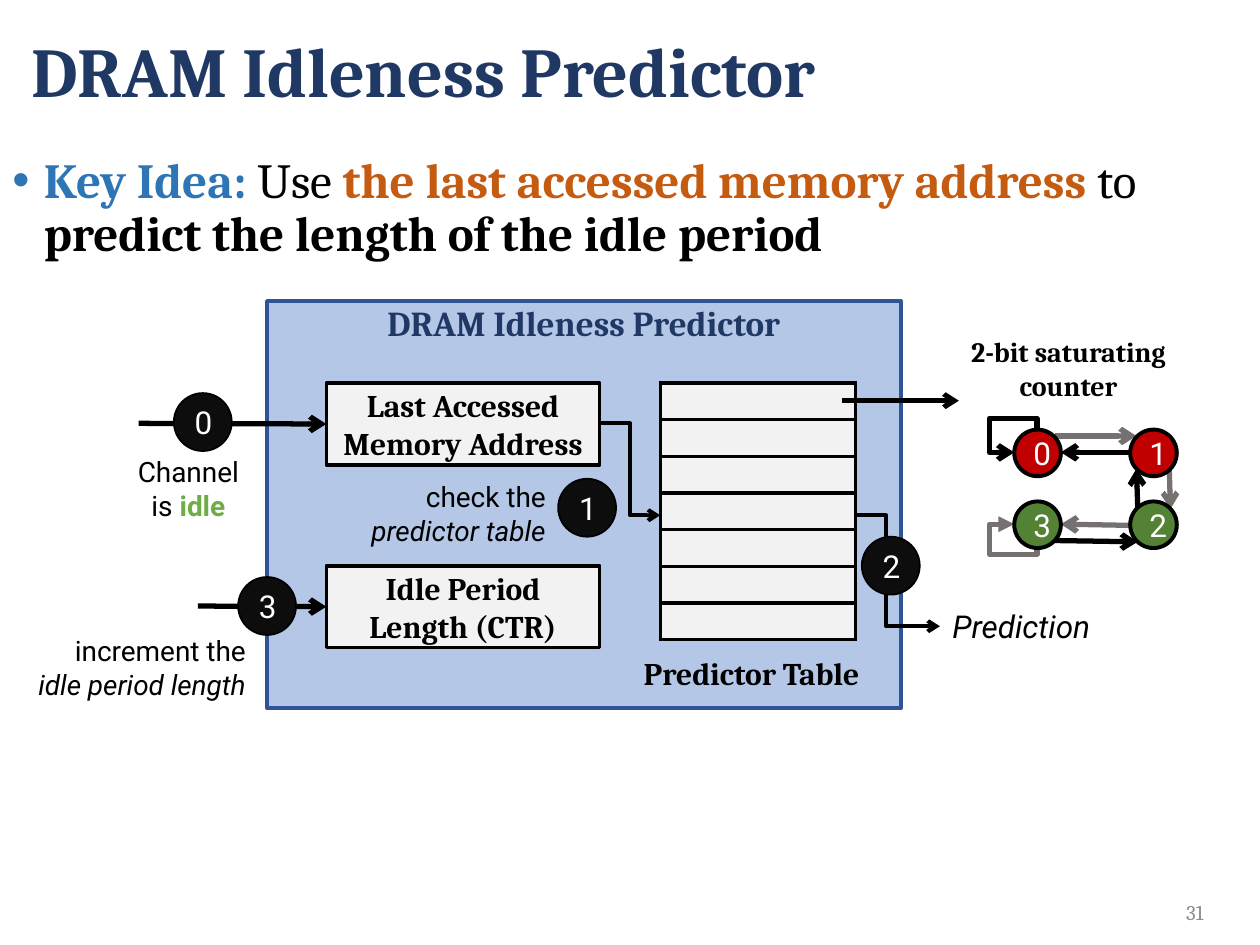
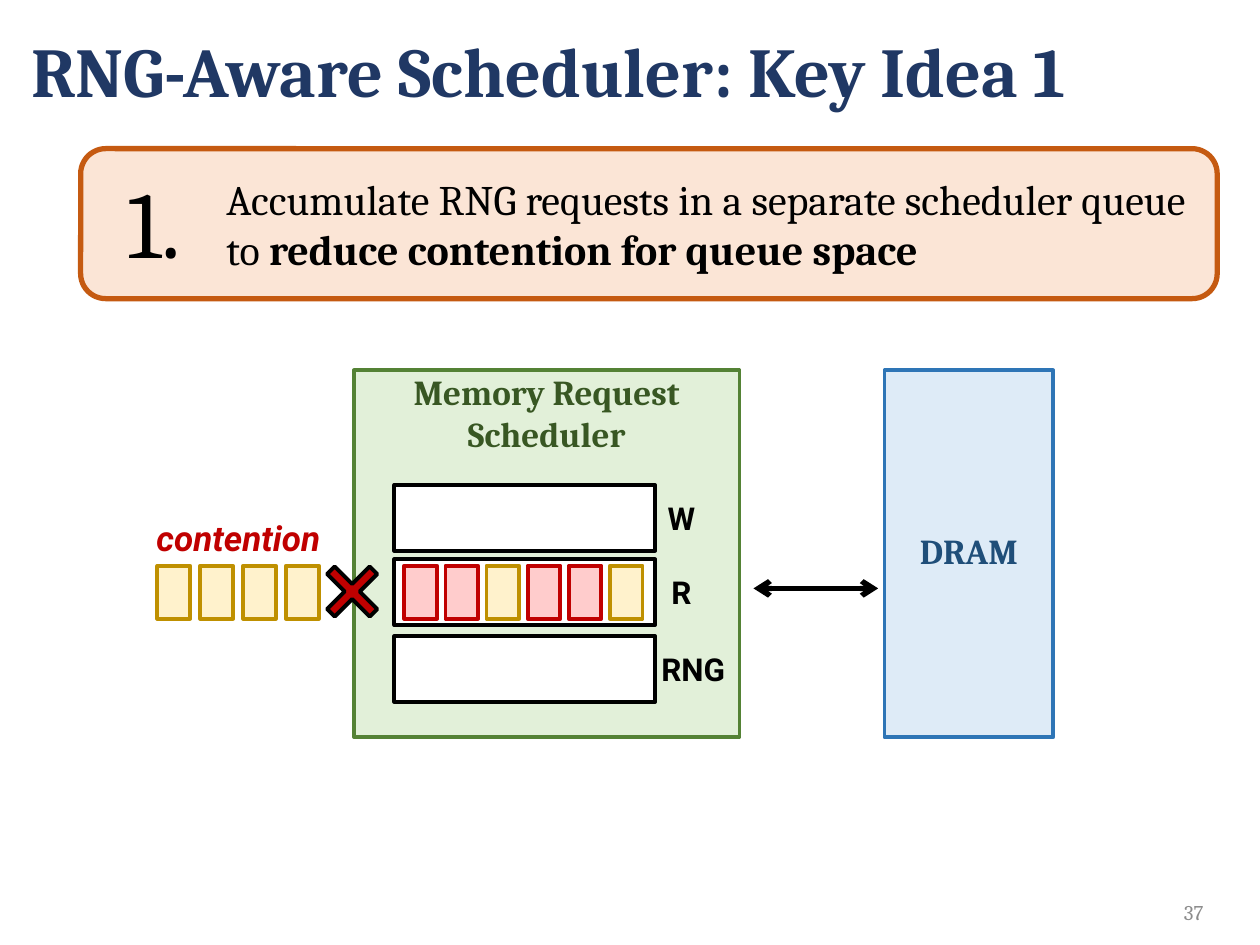
from lxml import etree
from pptx import Presentation
from pptx.dml.color import RGBColor
from pptx.enum.shapes import MSO_CONNECTOR, MSO_SHAPE
from pptx.enum.text import MSO_ANCHOR, PP_ALIGN
from pptx.oxml.ns import qn
from pptx.util import Inches, Pt

RECT, OVAL = MSO_SHAPE.RECTANGLE, MSO_SHAPE.OVAL
ROUND, CROSS = MSO_SHAPE.ROUNDED_RECTANGLE, MSO_SHAPE.MATH_MULTIPLY
LEFT, MID, RIGHT = PP_ALIGN.LEFT, PP_ALIGN.CENTER, PP_ALIGN.RIGHT
TOP, CENTER = MSO_ANCHOR.TOP, MSO_ANCHOR.MIDDLE
STRAIGHT, ELBOW = MSO_CONNECTOR.STRAIGHT, MSO_CONNECTOR.ELBOW
SERIF, SANS = "Cambria", "Roboto"

BLACK = RGBColor(0x00, 0x00, 0x00)
WHITE = RGBColor(0xFF, 0xFF, 0xFF)
INK = RGBColor(0x0D, 0x0D, 0x0D)
PALE = RGBColor(0xF2, 0xF2, 0xF2)
GRAY = RGBColor(0x76, 0x71, 0x71)
FAINT = RGBColor(0x8C, 0x8C, 0x8C)
NAVY = RGBColor(0x20, 0x38, 0x64)
BLUE = RGBColor(0x2E, 0x75, 0xB6)
DEEP = RGBColor(0x1F, 0x4E, 0x79)
ROYAL = RGBColor(0x2F, 0x55, 0x97)
SKY = RGBColor(0xB4, 0xC7, 0xE7)
ICE = RGBColor(0xDE, 0xEB, 0xF7)
RUST = RGBColor(0xC5, 0x5A, 0x11)
PEACH = RGBColor(0xFB, 0xE5, 0xD6)
RED = RGBColor(0xC0, 0x00, 0x00)
PINK = RGBColor(0xFF, 0xCC, 0xCC)
GOLD = RGBColor(0xBF, 0x90, 0x00)
CREAM = RGBColor(0xFF, 0xF2, 0xCC)
GREEN = RGBColor(0x54, 0x82, 0x35)
LIME = RGBColor(0x70, 0xAD, 0x47)
MOSS = RGBColor(0x38, 0x57, 0x23)
MINT = RGBColor(0xE2, 0xF0, 0xD9)

deck = Presentation()
deck.slide_width, deck.slide_height = Inches(10), Inches(7.5)
# Places are counted on a grid of 100 columns by 75 rows.
COL = deck.slide_width // 100
ROW = deck.slide_height // 75


def put(slide, box, runs=(), size=18, font=SERIF, align=LEFT, anchor=TOP,
        kind=None, fill=None, edge=BLACK, width=2.25, head=0.05):
    """Add a text box, or a shape of the given kind; runs are (text, colour, style)."""
    x, y, w, h = box
    place = [int(v) for v in (x * COL, y * ROW, w * COL, h * ROW)]
    if kind is None:
        item = slide.shapes.add_textbox(*place)
    else:
        item = slide.shapes.add_shape(kind, *place)
        item.shadow.inherit = False
        item.fill.solid()
        item.fill.fore_color.rgb = fill
        item.line.color.rgb = edge
        item.line.width = Pt(width)
    frame = item.text_frame
    frame.word_wrap = True
    frame.vertical_anchor = anchor
    frame.margin_top = Inches(head)
    para = frame.paragraphs[0]
    para.alignment = align
    for text, color, style in runs:
        run = para.add_run()
        run.text = text
        run.font.name, run.font.size = font, Pt(size)
        run.font.color.rgb = color
        run.font.bold, run.font.italic = "b" in style, "i" in style
    return item


def link(slide, start, end, color=BLACK, width=3, tail="arrow", head=None,
         bends=(), turn=0):
    """Add an arrow; bends holds the elbow shares in percent, turn its rotation."""
    ends = [int(v) for v in (start[0] * COL, start[1] * ROW, end[0] * COL, end[1] * ROW)]
    line = slide.shapes.add_connector(ELBOW if bends else STRAIGHT, *ends)
    line.line.color.rgb = color
    line.line.width = Pt(width)
    props = line._element.spPr
    stroke = props.find(qn("a:ln"))
    for tag, tip in (("a:headEnd", head), ("a:tailEnd", tail)):
        if tip:
            etree.SubElement(stroke, qn(tag), type=tip)
    etree.SubElement(props, qn("a:effectLst"))
    if bends:
        props.find(qn("a:xfrm")).set("rot", str(turn * 60000))
        shape = props.find(qn("a:prstGeom"))
        shape.set("prst", f"bentConnector{len(bends) + 2}")
        for old in list(shape):
            shape.remove(old)
        guides = etree.SubElement(shape, qn("a:avLst"))
        for n, share in enumerate(bends, 1):
            etree.SubElement(guides, qn("a:gd"), name=f"adj{n}",
                             fmla=f"val {round(share * 1000)}")
    return line


slides = []
for title, page in (("DRAM Idleness Predictor", "31"),
                    ("RNG-Aware Scheduler: Key Idea 1", "37")):
    slide = deck.slides.add_slide(deck.slide_layouts[6])
    name = put(slide, (1.5, 0, 97.3, 11.9), [(title, NAVY, "b")], 40, anchor=CENTER)
    name.text_frame.paragraphs[0].line_spacing = 0.9
    put(slide, (91.8, 71.3, 4.7, 2.2), [(page, FAINT, "")], 12,
        align=RIGHT, anchor=CENTER)
    slides.append(slide)
first, second = slides

# Idleness predictor
put(first, (21.2, 23.9, 50.3, 32.3), [("DRAM Idleness Predictor", NAVY, "b")], 20,
    align=MID, kind=RECT, fill=SKY, edge=ROYAL, head=0)

COUNT, STEP = 7, 2.91
grid = first.shapes.add_table(COUNT, 1, int(52.4 * COL), int(30.4 * ROW),
                              int(15.5 * COL), int(COUNT * STEP * ROW)).table
for row in grid.rows:
    row.height = int(STEP * ROW)
    cell = row.cells[0]
    cell.margin_top = cell.margin_bottom = 0
    cell.fill.solid()
    cell.fill.fore_color.rgb = PALE
    etree.SubElement(cell.text_frame.paragraphs[0]._p, qn("a:endParaRPr"), sz="800")
    props = cell._tc.get_or_add_tcPr()
    for n, side in enumerate("LRTB"):
        edge = etree.Element(qn(f"a:ln{side}"), w=str(Pt(2.25)))
        paint = etree.SubElement(edge, qn("a:solidFill"))
        etree.SubElement(paint, qn("a:srgbClr"), val=str(BLACK))
        props.insert(n, edge)

put(first, (50.1, 51.4, 19.8, 4), [("Predictor Table", BLACK, "b")])
link(first, (66.8, 31.8), (76.1, 31.8), width=2.75)
put(first, (75.2, 26.1, 19.2, 6.4), [("2-bit saturating counter", BLACK, "b")], 16,
    align=MID)

# Inputs: text, top, start of the arrow
for text, top, start in (("Last Accessed Memory Address", 30.4, 11),
                         ("Idle Period Length (CTR)", 44.9, 15.7)):
    box = put(first, (25.9, top, 21.7, 6.5), [(text, BLACK, "b")], align=MID,
              anchor=CENTER, kind=RECT, fill=PALE, width=2)
    line = link(first, (start, top + 3.2), (25.9, top + 3.2))
    line.end_connect(box, 1)

link(first, (47.6, 33.6), (52.4, 40.9), width=2.25, bends=[50])
link(first, (67.9, 40.9), (74.6, 49.7), width=2.25, bends=[36.1])
for digit, x, y in (("0", 13.8, 31.2), ("1", 44.3, 38),
                    ("2", 68.4, 42.6), ("3", 18.9, 45.8)):
    put(first, (x, y, 4.6, 4.6), [(digit, WHITE, "")], font=SANS, align=MID,
        anchor=CENTER, kind=OVAL, fill=INK, width=1)

for box, align, runs in (
    ((9.2, 35.6, 11.5, 6.4), MID, [("Channel is ", BLACK, ""), ("idle", LIME, "b")]),
    ((25.3, 37.6, 19, 6.4), RIGHT,
     [("check the ", BLACK, ""), ("predictor table", BLACK, "i")]),
    ((1.5, 49.8, 19, 6.4), RIGHT,
     [("increment the ", BLACK, ""), ("idle period length", BLACK, "i")]),
):
    put(first, box, runs, 16, SANS, align)
put(first, (74.6, 47.7, 20.4, 4), [("Prediction", BLACK, "i")], font=SANS)

# Saturating counter
for start, end, color in (
    ((83.7, 34.6), (90.2, 34.6), GRAY),
    ((92.8, 37.2), (92.9, 40.4), GRAY),
    ((89.7, 41.7), (84.2, 41.6), GRAY),
    ((90.3, 40.4), (90.2, 37.2), BLACK),
    ((83.6, 42.9), (90.3, 43), BLACK),
    ((89.7, 35.9), (84.2, 35.9), BLACK),
):
    link(first, start, end, color)
link(first, (82.3, 35.9), (80.5, 34.1), bends=[-51, 209.2], turn=270)
link(first, (82.3, 41.6), (80.5, 43.4), GRAY, tail="triangle",
     bends=[-32.8, 209.2], turn=90)
for digit, x, y, color in (("0", 80.5, 34.1, RED), ("1", 89.7, 34.1, RED),
                           ("2", 89.7, 39.8, GREEN), ("3", 80.5, 39.8, GREEN)):
    put(first, (x, y, 3.7, 3.7), [(digit, WHITE, "")], font=SANS, align=MID,
        anchor=CENTER, kind=OVAL, fill=color)

idea = put(first, (0, 11.9, 100, 10), [
    ("Key Idea: ", BLUE, "b"), ("Use ", BLACK, ""),
    ("the last accessed memory address ", RUST, "b"), ("to ", BLACK, ""),
    ("predict the length of the idle period", BLACK, "b")], 28)
para = idea.text_frame.paragraphs[0]
para.line_spacing = 0.9
props = para._p.get_or_add_pPr()
props.set("marL", str(Inches(0.25)))
props.set("indent", str(-Inches(0.25)))
etree.SubElement(props, qn("a:buFont"), typeface="Arial")
etree.SubElement(props, qn("a:buChar"), char="•")

# Request scheduler
put(second, (28.1, 29.4, 30.6, 29.1), [("Memory Request Scheduler", MOSS, "b")], 20,
    align=MID, kind=RECT, fill=MINT, edge=GREEN, head=0)
put(second, (70.2, 29.4, 13.4, 29.1), [("DRAM", DEEP, "b")], 20, align=MID,
    anchor=CENTER, kind=RECT, fill=ICE, edge=BLUE, head=0)
for label, x, y in (("W", 52, 38.5), ("R", 52.3, 44.4), ("RNG", 51.5, 50.5)):
    put(second, (31.3, y, 20.7, 5.2), kind=RECT, fill=WHITE)
    put(second, (x, y + 0.6, 9.8, 4), [(label, BLACK, "b")], font=SANS)
link(second, (59.8, 46.7), (69.7, 46.7), head="arrow")

# Requests: left, step, kinds (r for RNG, y for regular)
for left, step, kinds in ((32.1, 3.26, "rryrry"), (12.5, 3.4, "yyyy")):
    for n, kind in enumerate(kinds):
        fill, edge = (PINK, RED) if kind == "r" else (CREAM, GOLD)
        put(second, (left + n * step, 44.9, 2.6, 4.2), kind=RECT, fill=fill, edge=edge)
cross = put(second, (24.7, 43.7, 6.5, 6.5), kind=CROSS, fill=RED)
cross.adjustments[0] = 0.13
put(second, (5.6, 40.5, 20.8, 4.4), [("contention", RED, "bi")], 20, SANS, RIGHT)

claim = put(second, (6.4, 11.8, 90.2, 11.9), [
    ("Accumulate RNG requests in a separate scheduler queue to ", BLACK, ""),
    ("reduce contention for queue space", BLACK, "b")], 24, anchor=CENTER,
    kind=ROUND, fill=PEACH, edge=RUST, width=3)
claim.text_frame.paragraphs[0]._p.get_or_add_pPr().set("marL", str(Inches(1)))
put(second, (9.1, 12.5, 11.9, 10.1), [("1.", BLACK, "")], 54)

deck.save("out.pptx")
